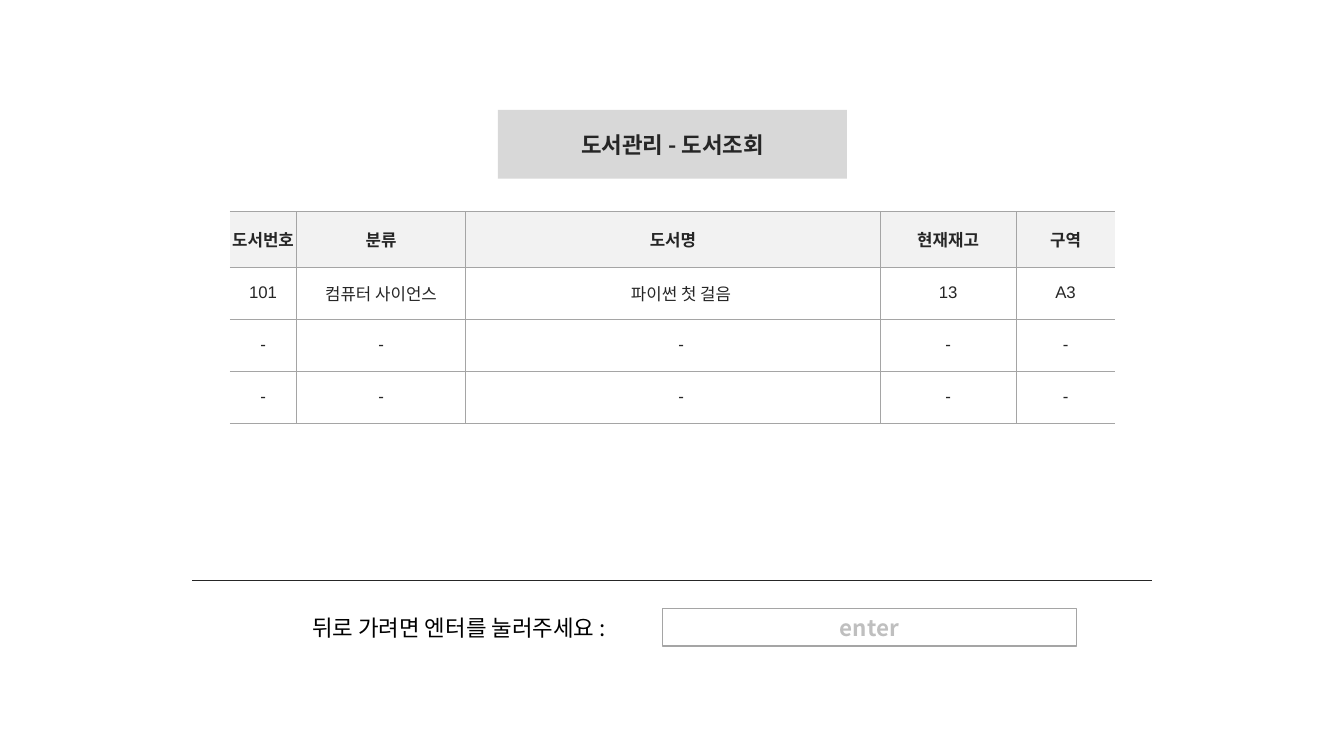
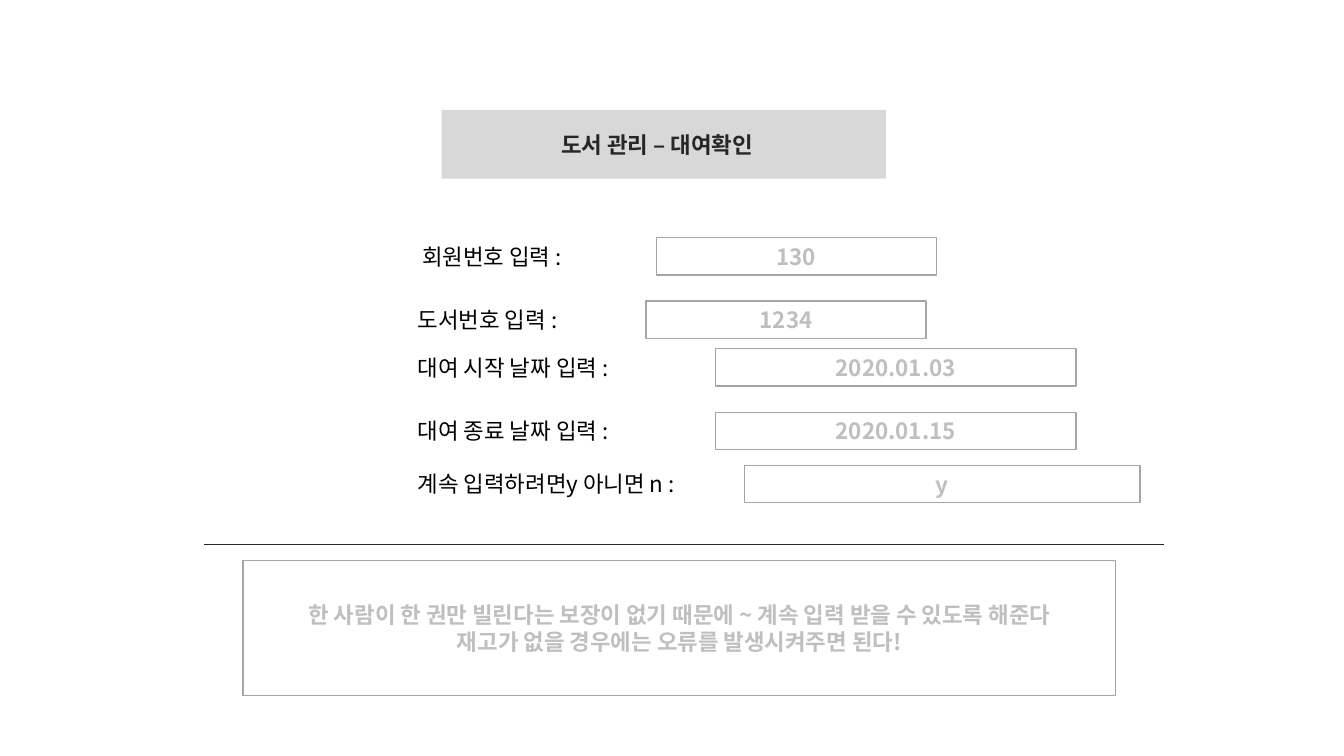
import pptx
import pptx.dml.color
import pptx.enum.shapes
import pptx.enum.text
import pptx.oxml
import pptx.oxml.ns
import pptx.util
from pptx.util import Cm

RGBColor = pptx.dml.color.RGBColor
BLACK = RGBColor(0x00, 0x00, 0x00)
INK = RGBColor(0x26, 0x26, 0x26)
BORDER = RGBColor(0xA5, 0xA5, 0xA5)
SAMPLE = RGBColor(0xBF, 0xBF, 0xBF)
BAND = RGBColor(0xD8, 0xD8, 0xD8)
HEADER = RGBColor(0xF2, 0xF2, 0xF2)
WHITE = RGBColor(0xFF, 0xFF, 0xFF)

KOREAN = "Noto Sans CJK KR"
FIELD_HEIGHT = 0.94
RULE_WIDTH = 24.19
CENTER = pptx.enum.text.PP_ALIGN.CENTER
MIDDLE = pptx.enum.text.MSO_ANCHOR.MIDDLE
AUTO_SIZE = pptx.enum.text.MSO_AUTO_SIZE
NS = pptx.oxml.ns.nsdecls("a")


def add_run(paragraph, text, color, size=16, bold=False, latin=KOREAN):
    run = paragraph.add_run()
    run.text = text
    run.font.size = pptx.util.Pt(size)
    run.font.bold = bold
    run.font.color.rgb = color
    run.font.name = latin
    run.font._element.append(
        pptx.oxml.parse_xml(f'<a:ea {NS} typeface="{KOREAN}"/>'))


def add_sample_box(slide, left, top, width, height, lines):
    box = slide.shapes.add_shape(
        pptx.enum.shapes.MSO_SHAPE.RECTANGLE,
        Cm(left), Cm(top), Cm(width), Cm(height))
    box.shadow.inherit = False
    box.fill.solid()
    box.fill.fore_color.rgb = WHITE
    box.line.color.rgb = BORDER
    box.line.width = pptx.util.Pt(1)
    frame = box.text_frame
    frame.word_wrap = True
    frame.vertical_anchor = MIDDLE
    for index, line in enumerate(lines):
        paragraph = frame.add_paragraph() if index else frame.paragraphs[0]
        paragraph.alignment = CENTER
        add_run(paragraph, line, SAMPLE, bold=True)


# Title: text, left, width, right inset
# Rule: left, top
# Prompts: label, left, top, width, sample, field left, field width
SCREENS = [
    {
        "title": ("도서관리 - 도서조회", 12.55, 8.79, 0.25),
        "rule": (4.84, 14.63),
        "prompts": [
            ("뒤로 가려면 엔터를 눌러주세요 :", 7.62, 15.34, 9.04,
             "enter", 16.69, 10.44),
        ],
    },
    {
        "title": ("도서 관리 – 대여확인", 11.13, 11.2, 0.6),
        "rule": (5.14, 13.72),
        "prompts": [
            ("회원번호 입력 :", 10.39, 5.99, 4.65, "130", 16.54, 7.06),
            ("도서번호 입력 :", 10.28, 7.59, 4.65, "1234", 16.28, 7.06),
            ("대여 시작 날짜 입력 :", 10.28, 8.79, 6.2, "2020.01.03", 18.03, 9.09),
            ("대여 종료 날짜 입력 :", 10.28, 10.39, 6.2, "2020.01.15", 18.03, 9.09),
            ("계속 입력하려면y 아니면 n :", 10.28, 11.73, 7.95, "y", 18.77, 9.96),
        ],
    },
]

deck = pptx.Presentation()
deck.slide_width = Cm(33.87)
deck.slide_height = Cm(19.05)
title_only = deck.slide_layouts[5]

# Title band, rule and prompts of each screen
for screen in SCREENS:
    slide = deck.slides.add_slide(title_only)

    text, left, width, right_inset = screen["title"]
    title = slide.shapes.title
    title.left, title.top = Cm(left), Cm(2.77)
    title.width, title.height = Cm(width), Cm(1.73)
    title.fill.solid()
    title.fill.fore_color.rgb = BAND
    title.text_frame.auto_size = AUTO_SIZE.NONE
    title.text_frame.vertical_anchor = MIDDLE
    title.text_frame.margin_right = Cm(right_inset)
    title_line = title.text_frame.paragraphs[0]
    title_line.alignment = CENTER
    add_run(title_line, text, INK, bold=True)

    left, top = screen["rule"]
    rule = slide.shapes.add_connector(
        pptx.enum.shapes.MSO_CONNECTOR.STRAIGHT,
        Cm(left), Cm(top), Cm(left + RULE_WIDTH), Cm(top))
    rule.line.color.rgb = INK
    rule.line.width = pptx.util.Pt(0.75)
    rule._element.spPr.append(pptx.oxml.parse_xml(f"<a:effectLst {NS}/>"))

    for text, left, top, width, sample, field_left, field_width in screen["prompts"]:
        label = slide.shapes.add_textbox(
            Cm(left), Cm(top), Cm(width), Cm(FIELD_HEIGHT))
        label.text_frame.word_wrap = True
        label.text_frame.auto_size = AUTO_SIZE.SHAPE_TO_FIT_TEXT
        add_run(label.text_frame.paragraphs[0], text, BLACK)
        add_sample_box(slide, field_left, top, field_width, FIELD_HEIGHT, [sample])

search_slide, rental_slide = deck.slides

# Book list on the search screen
BOOKS = [
    ["도서번호", "분류", "도서명", "현재재고", "구역"],
    ["101", "컴퓨터 사이언스", "파이썬 첫 걸음", "13", "A3"],
    ["-"] * 5,
    ["-"] * 5,
]
COLUMN_WIDTHS = [1.68, 4.27, 10.44, 3.43, 2.49]
ROW_HEIGHTS = [1.4, 1.31, 1.31, 1.31]
TITLE_COLUMN = 2
LAST_COLUMN = len(COLUMN_WIDTHS) - 1

book_table = search_slide.shapes.add_table(
    len(BOOKS), len(COLUMN_WIDTHS), Cm(5.79), Cm(5.33),
    Cm(sum(COLUMN_WIDTHS)), Cm(sum(ROW_HEIGHTS))).table
book_table.horz_banding = False
for column, width in zip(book_table.columns, COLUMN_WIDTHS):
    column.width = Cm(width)
for row, height in zip(book_table.rows, ROW_HEIGHTS):
    row.height = Cm(height)

for row_index, book in enumerate(BOOKS):
    is_header = row_index == 0
    for column_index, value in enumerate(book):
        cell = book_table.cell(row_index, column_index)
        cell.margin_left = cell.margin_right = 0
        cell.margin_top = cell.margin_bottom = 0
        if column_index == TITLE_COLUMN and not is_header:
            cell.margin_left = Cm(0.41)
        cell.vertical_anchor = MIDDLE
        paragraph = cell.text_frame.paragraphs[0]
        paragraph.alignment = CENTER
        add_run(paragraph, value, INK, size=12, bold=is_header, latin="Arial")

        # The outer left and right sides stay open
        open_sides = {0: "lnL", LAST_COLUMN: "lnR"}
        for side in ("lnL", "lnR", "lnT", "lnB"):
            if open_sides.get(column_index) == side:
                paint = "<a:noFill/>"
            else:
                paint = f'<a:solidFill><a:srgbClr val="{BORDER}"/></a:solidFill>'
            cell._tc.get_or_add_tcPr().append(pptx.oxml.parse_xml(
                f'<a:{side} {NS} w="9525">{paint}</a:{side}>'))
        cell.fill.solid()
        cell.fill.fore_color.rgb = HEADER if is_header else WHITE

# Remark on the rental screen
add_sample_box(rental_slide, 6.12, 14.12, 22, 3.4, [
    "한 사람이 한 권만 빌린다는 보장이 없기 때문에 ~ 계속 입력 받을 수 있도록 해준다",
    "재고가 없을 경우에는 오류를 발생시켜주면 된다!",
])

deck.save("out.pptx")
